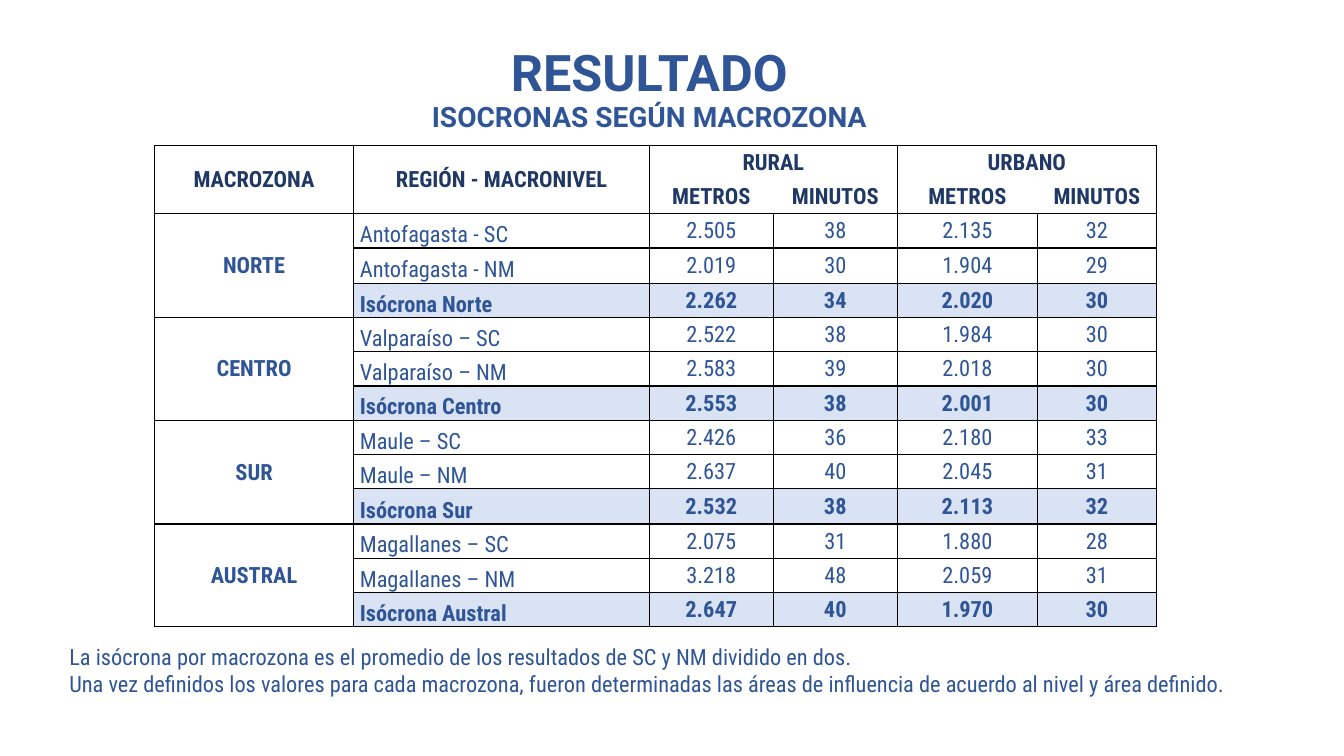
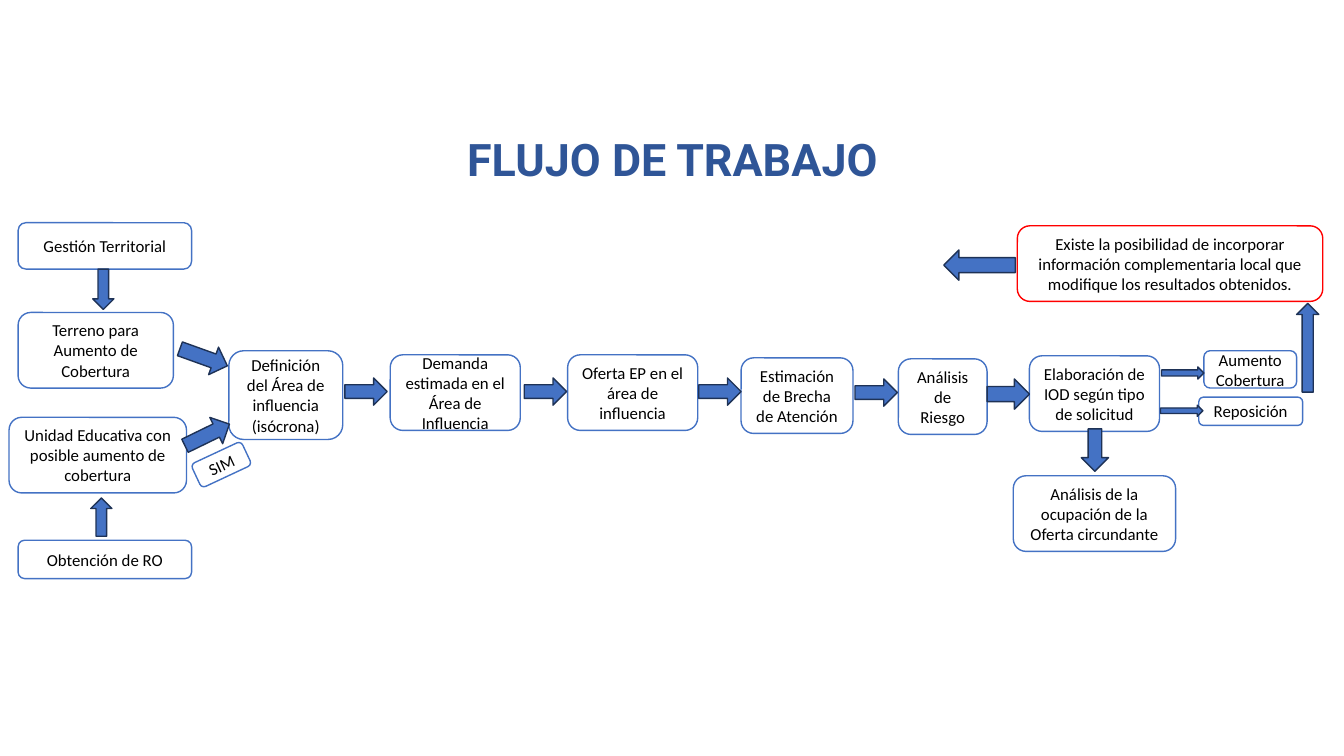
from dataclasses import dataclass

from lxml import etree
from pptx import Presentation
from pptx import util as u
from pptx.dml.color import RGBColor
from pptx.enum import shapes, text
from pptx.oxml import ns

EMU_PER_PX = 9144
BLUE = RGBColor(0x2F, 0x55, 0x97)
NAVY = RGBColor(0x20, 0x38, 0x64)
PALE = RGBColor(0xDA, 0xE3, 0xF3)
WHITE = RGBColor(0xFF, 0xFF, 0xFF)
BLACK = RGBColor(0x00, 0x00, 0x00)
ACCENT = RGBColor(0x44, 0x72, 0xC4)
ARROW_LINE = RGBColor(0x1E, 0x32, 0x56)
RED = RGBColor(0xFF, 0x00, 0x00)
TITLE_FONT = "Roboto"
TABLE_FONT = "Roboto Condensed"
FLOW_FONT = "Calibri"
CENTER = text.PP_ALIGN.CENTER
LEFT = text.PP_ALIGN.LEFT
MIDDLE = text.MSO_ANCHOR.MIDDLE
TOP = text.MSO_ANCHOR.TOP
BOTTOM = text.MSO_ANCHOR.BOTTOM
Kind = shapes.MSO_SHAPE


@dataclass(frozen=True)
class Zone:
    name: str
    rows: tuple[tuple[str, ...], ...]


@dataclass(frozen=True)
class Step:
    caption: str
    left: int
    top: int
    width: int
    height: int
    rotation: int = 0
    line: RGBColor = ACCENT


@dataclass(frozen=True)
class Arrow:
    left: int
    top: int
    width: int
    height: int
    kind: Kind = Kind.RIGHT_ARROW
    rotation: float = 0


ZONES = (
    Zone("NORTE", (
        ("Antofagasta - SC", "2.505", "38", "2.135", "32"),
        ("Antofagasta - NM", "2.019", "30", "1.904", "29"),
        ("Isócrona Norte", "2.262", "34", "2.020", "30"),
    )),
    Zone("CENTRO", (
        ("Valparaíso – SC", "2.522", "38", "1.984", "30"),
        ("Valparaíso – NM", "2.583", "39", "2.018", "30"),
        ("Isócrona Centro", "2.553", "38", "2.001", "30"),
    )),
    Zone("SUR", (
        ("Maule – SC", "2.426", "36", "2.180", "33"),
        ("Maule – NM", "2.637", "40", "2.045", "31"),
        ("Isócrona Sur", "2.532", "38", "2.113", "32"),
    )),
    Zone("AUSTRAL", (
        ("Magallanes – SC", "2.075", "31", "1.880", "28"),
        ("Magallanes – NM", "3.218", "48", "2.059", "31"),
        ("Isócrona Austral", "2.647", "40", "1.970", "30"),
    )),
)
HEADER = (
    ("MACROZONA", "REGIÓN - MACRONIVEL", "RURAL", "", "URBANO", ""),
    ("", "", "METROS", "MINUTOS", "METROS", "MINUTOS"),
)
HEADER_MERGES = ((0, 0, 1, 0), (0, 1, 1, 1), (0, 2, 0, 3), (0, 4, 0, 5))
COLUMN_WIDTHS = (198, 293, 123, 123, 139, 118)
TABLE_HEIGHT = 478
ZONE_SIZE = 3
NOTES = (
    "La isócrona por macrozona es el promedio de los resultados de SC y NM dividido en dos.\n"
    "Una vez definidos los valores para cada macrozona, fueron determinadas las áreas de "
    "influencia de acuerdo al nivel y área definido."
)

STEPS = (
    Step("Gestión Territorial", 18, 221, 172, 46),
    Step("Terreno para Aumento de Cobertura", 18, 310, 154, 75),
    Step("Unidad Educativa con posible aumento de cobertura", 9, 414, 176, 75),
    Step("Obtención de RO", 18, 536, 172, 38),
    Step("SIM", 192, 448, 55, 26, rotation=335),
    Step("Definición del Área de influencia (isócrona)", 227, 348, 113, 88),
    Step("Demanda estimada en el Área de Influencia", 387, 352, 129, 75),
    Step("Oferta EP en el\nárea de influencia", 563, 352, 129, 75),
    Step("Estimación de Brecha de Atención", 735, 355, 111, 75),
    Step("Análisis de Riesgo", 891, 356, 88, 75),
    Step("Elaboración de IOD según tipo de solicitud", 1021, 353, 129, 75),
    Step("Análisis de la ocupación de la Oferta circundante", 1005, 472, 161, 75),
    Step("Aumento Cobertura", 1194, 348, 92, 37),
    Step("Reposición", 1189, 394, 103, 28),
    Step("Existe la posibilidad de incorporar información complementaria local "
         "que modifique los resultados obtenidos.", 1009, 224, 303, 75, line=RED),
)
ARROWS = (
    Arrow(92, 267, 21, 40, Kind.DOWN_ARROW),
    Arrow(90, 494, 21, 38, Kind.UP_ARROW),
    Arrow(177, 340, 50, 29, rotation=19.8),
    Arrow(181, 417, 49, 29, rotation=334),
    Arrow(342, 375, 42, 27),
    Arrow(520, 375, 42, 27),
    Arrow(693, 375, 42, 27),
    Arrow(848, 376, 42, 27),
    Arrow(979, 376, 42, 30),
    Arrow(1065, 433, 42, 27, rotation=90),
    Arrow(1152, 364, 42, 12),
    Arrow(1151, 402, 42, 11),
    Arrow(1286, 301, 22, 88, Kind.UP_ARROW),
    Arrow(936, 248, 71, 30, rotation=180),
)


def px(length: int) -> u.Emu:
    return u.Emu(length * EMU_PER_PX)


def write(frame, content: str, *, size: int, font: str, color: RGBColor, bold: bool = False,
          align=CENTER, spacing: float = 1.0) -> None:
    for index, line in enumerate(content.split("\n")):
        paragraph = frame.add_paragraph() if index else frame.paragraphs[0]
        paragraph.alignment = align
        paragraph.line_spacing = spacing
        run = paragraph.add_run()
        run.text = line
        run.font.size = u.Pt(size)
        run.font.name = font
        run.font.color.rgb = color
        run.font.bold = bold


def add_title(slide, content: str, bounds: tuple[int, ...], size: int, anchor, inset: int):
    title = slide.shapes.title
    title.left, title.top, title.width, title.height = map(px, bounds)
    frame = title.text_frame
    frame.auto_size = text.MSO_AUTO_SIZE.NONE
    frame.word_wrap = True
    frame.vertical_anchor = anchor
    frame.margin_top = frame.margin_bottom = px(inset)
    write(frame, content, size=size, font=TITLE_FONT, color=BLUE, bold=True, spacing=0.9)
    return frame


def border_sides(row: int, column: int) -> str:
    if row == 0:
        return "LRTB" if column < 2 else ("LRT", "RT")[column % 2]
    if row == 1:
        return "LRB" if column < 2 else ("LB", "RB")[column % 2]
    if column == 0:
        return ("LRTB", "LR", "LRB")[(row - len(HEADER)) % ZONE_SIZE]
    return "LRTB"


def set_borders(cell, sides: str) -> None:
    properties = cell._tc.get_or_add_tcPr()
    for index, side in enumerate("LRTB"):
        line = etree.Element(ns.qn(f"a:ln{side}"), w=str(u.Pt(1)))
        if side in sides:
            fill = etree.SubElement(line, ns.qn("a:solidFill"))
            etree.SubElement(fill, ns.qn("a:srgbClr"), val=str(BLACK))
        else:
            etree.SubElement(line, ns.qn("a:noFill"))
        properties.insert(index, line)


def format_cell(cell, row: int, column: int, content: str) -> None:
    is_header = row < len(HEADER)
    is_total = not is_header and (row - len(HEADER)) % ZONE_SIZE == ZONE_SIZE - 1
    is_region = not is_header and column == 1
    cell.fill.solid()
    cell.fill.fore_color.rgb = PALE if is_total and column else WHITE
    cell.margin_left = px(6 if is_region else 1)
    cell.margin_right = cell.margin_top = px(1)
    cell.margin_bottom = 0
    cell.vertical_anchor = BOTTOM if is_region else MIDDLE
    set_borders(cell, border_sides(row, column))
    if content:
        write(cell.text_frame, content, size=16, font=TABLE_FONT,
              color=NAVY if is_header else BLUE,
              bold=is_header or is_total or column == 0,
              align=LEFT if is_region else CENTER)


def add_isochrone_table(slide) -> None:
    rows = list(HEADER)
    merges = list(HEADER_MERGES)
    for zone in ZONES:
        first = len(rows)
        merges.append((first, 0, first + ZONE_SIZE - 1, 0))
        rows += [("" if index else zone.name, *values) for index, values in enumerate(zone.rows)]
    table = slide.shapes.add_table(len(rows), len(COLUMN_WIDTHS), px(153), px(144),
                                   px(sum(COLUMN_WIDTHS)), px(TABLE_HEIGHT)).table
    table.first_row = table.horz_banding = False
    for column, width in zip(table.columns, COLUMN_WIDTHS):
        column.width = px(width)
    edges = [round(TABLE_HEIGHT * index / len(rows)) for index in range(len(rows) + 1)]
    for row_index, values in enumerate(rows):
        table.rows[row_index].height = px(edges[row_index + 1] - edges[row_index])
        for column_index, content in enumerate(values):
            format_cell(table.cell(row_index, column_index), row_index, column_index, content)
    for top, left, bottom, right in merges:
        table.cell(top, left).merge(table.cell(bottom, right))


def add_shape(slide, kind: Kind, item: Step | Arrow, fill: RGBColor, line: RGBColor):
    shape = slide.shapes.add_shape(kind, px(item.left), px(item.top),
                                   px(item.width), px(item.height))
    shape.rotation = item.rotation
    shape.shadow.inherit = False
    shape.fill.solid()
    shape.fill.fore_color.rgb = fill
    shape.line.color.rgb = line
    shape.line.width = u.Pt(1)
    return shape


def add_step(slide, step: Step) -> None:
    frame = add_shape(slide, Kind.ROUNDED_RECTANGLE, step, WHITE, step.line).text_frame
    frame.word_wrap = True
    frame.vertical_anchor = MIDDLE
    write(frame, step.caption, size=12, font=FLOW_FONT, color=BLACK)


def build_results(slide) -> None:
    frame = add_title(slide, "RESULTADO\nISOCRONAS SEGÚN MACROZONA",
                      (69, 45, 1150, 145), 36, TOP, 3)
    frame.paragraphs[1].runs[0].font.size = u.Pt(20)
    add_isochrone_table(slide)
    notes = slide.shapes.add_textbox(px(59), px(633), px(1283 - 59), px(64)).text_frame
    notes.word_wrap = True
    write(notes, NOTES, size=16, font=TABLE_FONT, color=BLUE, align=LEFT)


def build_workflow(slide) -> None:
    add_title(slide, "FLUJO DE TRABAJO", (136, 135, 1062, 51), 32, MIDDLE, 5)
    for step in STEPS:
        add_step(slide, step)
    for arrow in ARROWS:
        add_shape(slide, arrow.kind, arrow, ACCENT, ARROW_LINE)


def main() -> None:
    presentation = Presentation()
    presentation.slide_width = px(1333)
    presentation.slide_height = px(750)
    layout = presentation.slide_layouts[5]
    for build in (build_results, build_workflow):
        build(presentation.slides.add_slide(layout))
    presentation.save("out.pptx")


if __name__ == "__main__":
    main()
